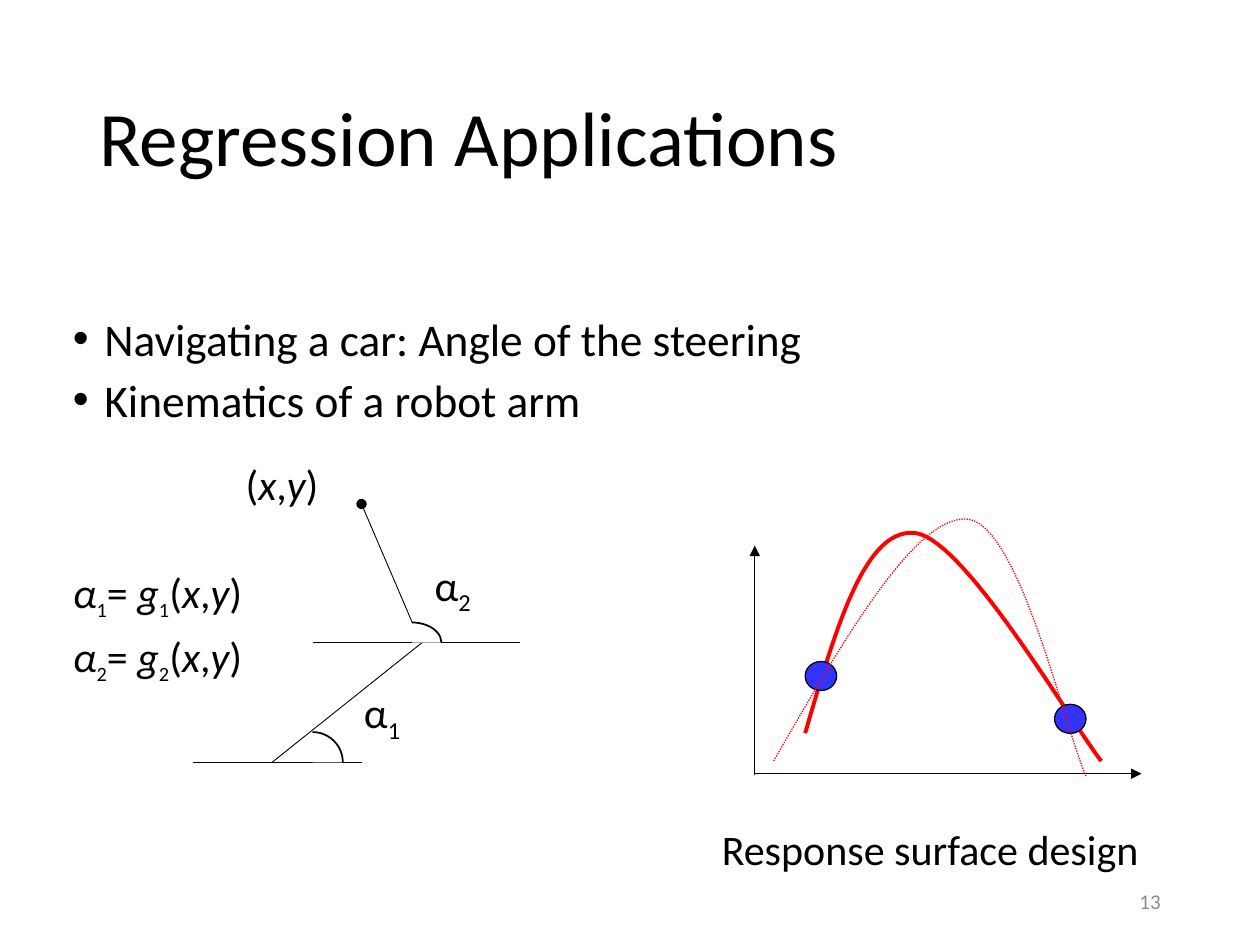
from lxml.etree import SubElement
from pptx import Presentation
from pptx.dml.color import RGBColor
from pptx.enum.dml import MSO_LINE
from pptx.enum.shapes import MSO_CONNECTOR, MSO_SHAPE
from pptx.enum.text import MSO_ANCHOR, PP_ALIGN
from pptx.oxml.ns import qn
from pptx.util import Pt

BLACK = RGBColor(0, 0, 0)
WHITE = RGBColor(255, 255, 255)
GREY = RGBColor(0x8C, 0x8C, 0x8C)
RED = RGBColor(255, 0, 0)
BLUE = RGBColor(0x33, 0x33, 0xFF)
FONT = "Calibri"
CURVE_STEPS = 30

TITLE = "Regression Applications"
BULLETS = ["Navigating a car: Angle of the steering", "Kinematics of a robot arm"]
CAPTION = "Response surface design"
PAGE_NUMBER = "13"

# Runs are (text, style); style is "", "italic" or "sub".
POINT = [("(", ""), ("x", "italic"), (",", ""), ("y", "italic"), (")", "")]
FORMULAS = [
    [("α", "italic"), (index, "sub"), ("= ", ""), ("g", "italic"), (index, "sub")] + POINT
    for index in "12"
]
# Runs, left, top, width, height
ARM_LABELS = [
    ([("α", ""), ("1", "sub")], 200.9, 388.8, 36.7, 36),
    ([("α", ""), ("2", "sub")], 241.2, 316.1, 36.7, 36),
    (POINT, 133.2, 258.5, 65.5, 36.7),
]
# Start x, start y, end x, end y, end mark
ARM_LINES = [
    (110.2, 435.6, 206.6, 435.6, None),
    (155.5, 435.6, 241.2, 367.2, None),
    (240.5, 367.2, 206.6, 288, "oval"),
    (178.6, 367.2, 297.4, 367.2, None),
]
AXES = [
    (431.3, 442.1, 652.3, 442.1, "triangle"),
    (431.3, 442.8, 431.3, 311.8, "triangle"),
]
# Centre x, centre y, horizontal radius, vertical radius
ANGLES = [(235.4, 367.2, 16.9, 11.5), (178.6, 435.6, 17.3, 17.3)]
SAMPLES = [(460.1, 378), (602.6, 402.5)]
SAMPLE_SIZE = (18, 16.6)
# Bézier points: start, then two controls and an end for each segment
FITTED_CURVE = [(460.1, 419), (477.4, 360), (493.9, 301.7), (522.7, 304.6),
                (550.8, 307.4), (611.3, 411.8), (629.3, 434.9)]
DOTTED_CURVE = [(442.1, 434.9), (482.4, 365), (522.7, 295.2), (552.2, 296.6),
                (582.5, 298.1), (609.1, 419), (620.6, 443.5)]


def add_box(page, left, top, width, height, wrap=True, anchor=MSO_ANCHOR.TOP):
    box = page.shapes.add_textbox(Pt(left), Pt(top), Pt(width), Pt(height))
    box.text_frame.word_wrap = wrap
    box.text_frame.vertical_anchor = anchor
    return box.text_frame


def add_runs(para, runs, size=24, sub_size=24, color=BLACK):
    for text, style in runs:
        span = para.add_run()
        span.text = text
        span.font.name = FONT
        span.font.size = Pt(sub_size if style == "sub" else size)
        span.font.color.rgb = color
        span.font.italic = style == "italic"
        if style == "sub":
            span.font._element.set("baseline", "-25000")


def paragraphs(frame, count):
    return [frame.paragraphs[0]] + [frame.add_paragraph() for _ in range(count - 1)]


def set_hanging(para, indent, bullet=None):
    props = para._p.get_or_add_pPr()
    props.set("marL", str(Pt(indent)))
    props.set("indent", str(-Pt(indent)))
    if bullet:
        SubElement(props, qn("a:buFont"), typeface="Arial")
        SubElement(props, qn("a:buChar"), char=bullet)


def add_line(page, x1, y1, x2, y2, mark):
    line = page.shapes.add_connector(MSO_CONNECTOR.STRAIGHT, Pt(x1), Pt(y1), Pt(x2), Pt(y2))
    line.line.color.rgb = BLACK
    line.line.width = Pt(0.5)
    if mark:
        SubElement(line.line._get_or_add_ln(), qn("a:tailEnd"), type=mark)
    SubElement(line._element.spPr, qn("a:effectLst"))


def add_outlined(page, kind, left, top, width, height, fill, weight):
    shape = page.shapes.add_shape(kind, Pt(left), Pt(top), Pt(width), Pt(height))
    shape.shadow.inherit = False
    shape.fill.solid()
    shape.fill.fore_color.rgb = fill
    shape.line.color.rgb = BLACK
    shape.line.width = Pt(weight)


def bezier_points(nodes):
    """Sample a chain of cubic segments, leaving out its start."""
    points = []
    for first in range(0, len(nodes) - 1, 3):
        segment = nodes[first:first + 4]
        for step in range(1, CURVE_STEPS + 1):
            t = step / CURVE_STEPS
            weights = ((1 - t) ** 3, 3 * t * (1 - t) ** 2, 3 * t * t * (1 - t), t ** 3)
            points.append(tuple(
                Pt(sum(w * node[axis] for w, node in zip(weights, segment)))
                for axis in (0, 1)))
    return points


def add_curve(page, nodes, weight, dash=None):
    start_x, start_y = nodes[0]
    builder = page.shapes.build_freeform(Pt(start_x), Pt(start_y))
    builder.add_line_segments(bezier_points(nodes), close=False)
    curve = builder.convert_to_shape()
    curve.shadow.inherit = False
    curve.fill.background()
    curve.line.color.rgb = RED
    curve.line.width = Pt(weight)
    if dash:
        curve.line.dash_style = dash


def add_texts(page):
    title = add_box(page, 49.7, 28.8, 620.6, 104.4, anchor=MSO_ANCHOR.MIDDLE).paragraphs[0]
    title.line_spacing = 0.9
    add_runs(title, [(TITLE, "")], size=44)

    body = add_box(page, 34.6, 180, 648, 68.4)
    for para, text in zip(paragraphs(body, len(BULLETS)), BULLETS):
        para.line_spacing = 0.8
        para.space_before = Pt(10)
        set_hanging(para, 18, "•")
        add_runs(para, [(text, "")], size=25.9)

    number = add_box(page, 508.3, 500.4, 162, 28.8, anchor=MSO_ANCHOR.MIDDLE).paragraphs[0]
    number.alignment = PP_ALIGN.RIGHT
    add_runs(number, [(PAGE_NUMBER, "")], size=12, color=GREY)

    formula_box = add_box(page, 34.6, 320.4, 175.7, 85)
    for para, runs in zip(paragraphs(formula_box, len(FORMULAS)), FORMULAS):
        para.space_before = Pt(5)
        set_hanging(para, 27)
        add_runs(para, runs, sub_size=20)

    caption = add_box(page, 405.4, 467.3, 283.7, 51.1).paragraphs[0]
    caption.space_before = Pt(5)
    add_runs(caption, [(CAPTION, "")])


def add_robot_arm(page):
    for line in ARM_LINES:
        add_line(page, *line)
    for runs, *place in ARM_LABELS:
        add_runs(add_box(page, *place, wrap=False).paragraphs[0], runs)
    for x, y, rx, ry in ANGLES:
        add_outlined(page, MSO_SHAPE.ARC, x - rx, y - ry, 2 * rx, 2 * ry, WHITE, 1)


def add_response_plot(page):
    for axis in AXES:
        add_line(page, *axis)
    add_curve(page, FITTED_CURVE, 2.25)
    for left, top in SAMPLES:
        add_outlined(page, MSO_SHAPE.OVAL, left, top, *SAMPLE_SIZE, BLUE, 0.75)
    add_curve(page, DOTTED_CURVE, 0.75, MSO_LINE.ROUND_DOT)


def main():
    deck = Presentation()
    deck.slide_width, deck.slide_height = Pt(720), Pt(540)
    page = deck.slides.add_slide(deck.slide_layouts[6])
    add_texts(page)
    add_robot_arm(page)
    add_response_plot(page)
    deck.save("out.pptx")


if __name__ == "__main__":
    main()
